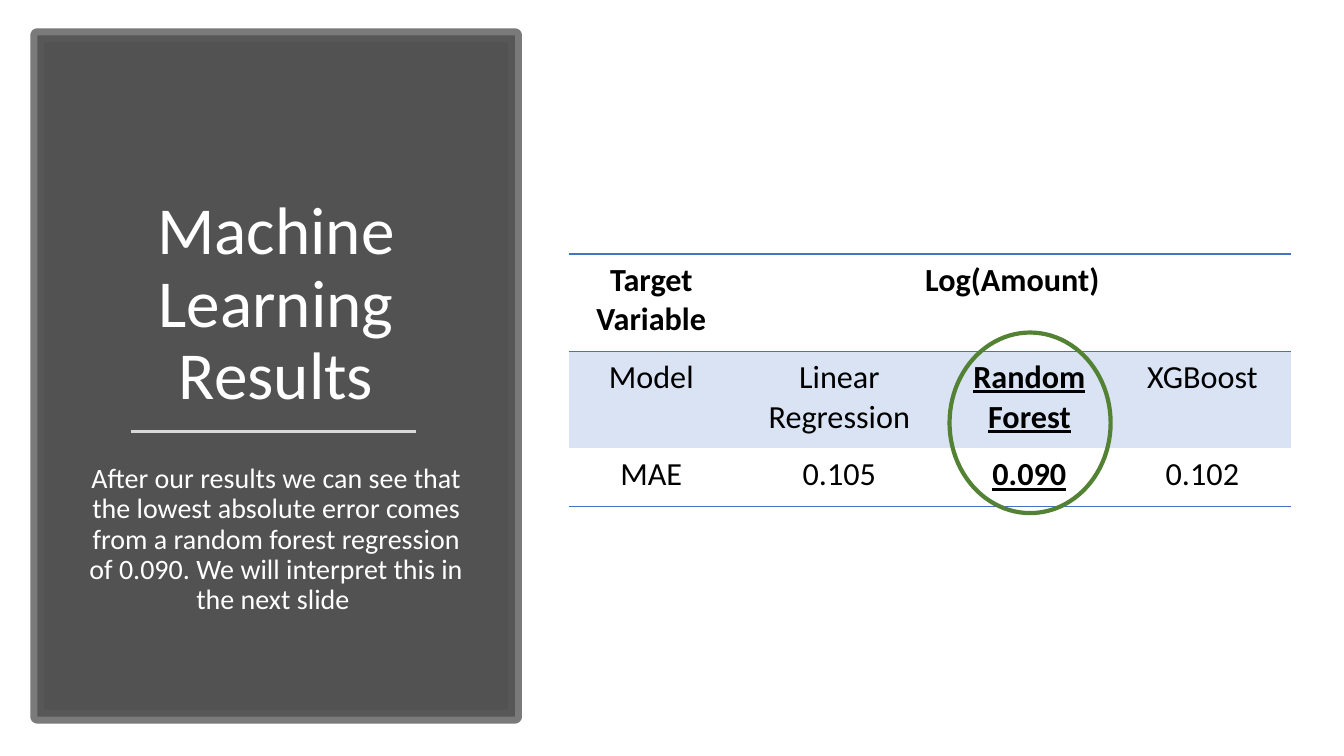
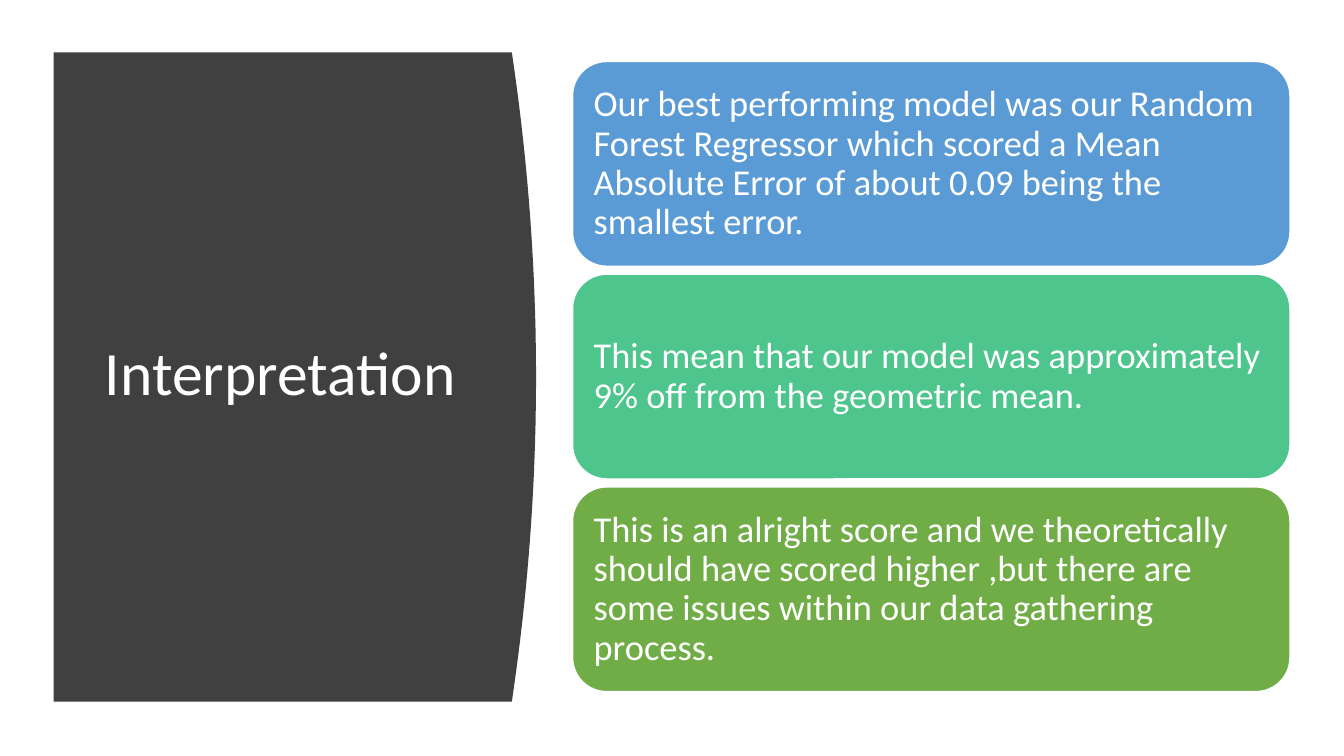
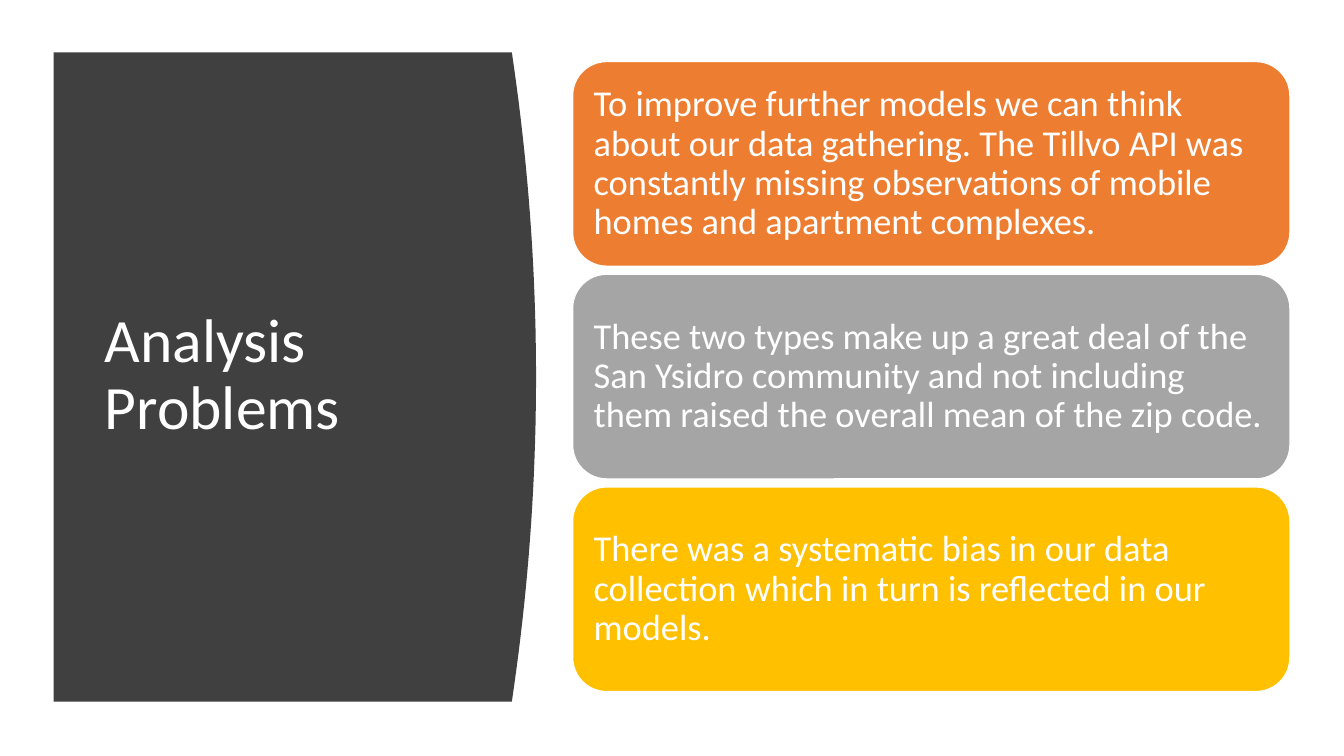
import pptx
import pptx.util
import pptx.dml.color
import pptx.enum.shapes
import pptx.enum.text
import pptx.oxml
import pptx.oxml.ns
import lxml.etree

Cm = pptx.util.Cm
Pt = pptx.util.Pt
Align = pptx.enum.text.PP_ALIGN
Anchor = pptx.enum.text.MSO_ANCHOR
Shape = pptx.enum.shapes.MSO_SHAPE
qn = pptx.oxml.ns.qn

FONT = "Calibri"
WHITE, BLACK, DARK = "FFFFFF", "000000", "404040"
BLUE, PALE, GREEN = "4472C4", "DAE3F3", "548235"


def paint(fill, tone):
    """Give a fill, a line's fill or a font's fill a solid colour."""
    fill.solid()
    fill.fore_color.rgb = pptx.dml.color.RGBColor.from_string(tone)


def write(frame, text, size=20, tone=WHITE, align=Align.LEFT, anchor=Anchor.TOP,
          space=0.9, bold=False, under=False):
    """Set the text of a frame and its format."""
    frame.text = text
    frame.word_wrap = True
    frame.auto_size = pptx.enum.text.MSO_AUTO_SIZE.NONE
    frame.vertical_anchor = anchor
    para = frame.paragraphs[0]
    para.alignment = align
    para.line_spacing = space
    font = para.runs[0].font
    font.name, font.size = FONT, Pt(size)
    font.bold, font.underline = bold, under
    paint(font.fill, tone)


deck = pptx.Presentation()
deck.slide_width, deck.slide_height = Cm(33.87), Cm(19.05)
plain = deck.slide_layouts[5]

# Results: side panel
slide = deck.slides.add_slide(plain)
shapes = slide.shapes
panel = shapes.add_shape(Shape.RECTANGLE, Cm(0.94), Cm(0.89), Cm(12.04), Cm(17.17))
panel.shadow.inherit = False
paint(panel.fill, DARK)
paint(panel.line.fill, "595959")
panel.line.width = Pt(10)
for clr, alpha in zip(panel.element.iter(qn("a:srgbClr")), ("90000", "80000")):
    lxml.etree.SubElement(clr, qn("a:alpha")).set("val", alpha)

# Results: title, rule and remark
title = shapes.title
title.left, title.top, title.width, title.height = Cm(1.88), Cm(2.54), Cm(10.16), Cm(8.03)
write(title.text_frame, "Machine Learning Results", size=48,
      align=Align.CENTER, anchor=Anchor.BOTTOM)
shapes.element.append(title.element)

note = shapes.add_textbox(Cm(1.88), Cm(11.58), Cm(10.16), Cm(4.24))
write(note.text_frame, "After our results we can see that the lowest absolute error "
      "comes from a random forest regression of 0.090. We will interpret this in "
      "the next slide ", align=Align.CENTER)

rule = shapes.add_connector(pptx.enum.shapes.MSO_CONNECTOR.STRAIGHT,
                            Cm(3.3), Cm(10.87), Cm(10.49), Cm(10.87))
paint(rule.line.fill, "D9D9D9")
rule.line.width = Pt(1.75)
lxml.etree.SubElement(rule.element.spPr, qn("a:effectLst"))

# Results: table, with ruled lines above rows 0 and 1 and below row 2
rows = [
    ["Target Variable", "Log(Amount)", "", ""],
    ["Model", "Linear Regression", "Random Forest", "XGBoost"],
    ["MAE", "0.105", "0.090", "0.102"],
]
wides = [4.17, 5.31, 4.27, 4.45]
highs = [2.45, 2.45, 1.46]
ruled = {0, 1, 3}
best = 2

table = shapes.add_table(3, 4, Cm(14.33), Cm(6.4), Cm(sum(wides)), Cm(sum(highs))).table
table.first_row = table.horz_banding = False
for col, wide in zip(table.columns, wides):
    col.width = Cm(wide)
for row, high in zip(table.rows, highs):
    row.height = Cm(high)
table.cell(0, 1).merge(table.cell(0, 3))

for r, row in enumerate(rows):
    for c, text in enumerate(row):
        cell = table.cell(r, c)
        cell.margin_left = cell.margin_right = Cm(0.33)
        cell.margin_top = cell.margin_bottom = Cm(0.17)
        props = cell._tc.get_or_add_tcPr()
        for side, shown in (("L", False), ("R", False),
                            ("T", r in ruled), ("B", r + 1 in ruled)):
            edge = lxml.etree.SubElement(props, qn("a:ln" + side), w=str(Pt(1)))
            if shown:
                fill = lxml.etree.SubElement(edge, qn("a:solidFill"))
                lxml.etree.SubElement(fill, qn("a:srgbClr"), val=BLUE)
            else:
                lxml.etree.SubElement(edge, qn("a:noFill"))
        if r == 1:
            paint(cell.fill, PALE)
        else:
            cell.fill.background()
        if text:
            top = r > 0 and c == best
            write(cell.text_frame, text, size=23, tone=BLACK, align=Align.CENTER,
                  space=1.0, bold=r == 0 or top, under=top)

# Results: ring around the best model
ring = shapes.add_shape(Shape.OVAL, Cm(23.93), Cm(8.38), Cm(4.06), Cm(4.55))
ring.shadow.inherit = False
ring.fill.background()
paint(ring.line.fill, GREEN)
ring.line.width = Pt(3)

# Slides with a curved panel and three cards
talks = [
    ("Interpretation", [
        ("5B9BD5", "Our best performing model was our Random Forest Regressor which "
                   "scored a Mean Absolute Error of about 0.09 being the smallest error."),
        ("4DC58D", "This mean that our model was approximately 9% off from the "
                   "geometric mean."),
        ("70AD47", "This is an alright score and we theoretically should have scored "
                   "higher ,but there are some issues within our data gathering process."),
    ]),
    ("Analysis Problems", [
        ("ED7D31", "To improve further models we can think about our data gathering. "
                   "The Tillvo API was constantly missing observations of mobile homes "
                   "and apartment complexes."),
        ("A5A5A5", "These two types make up a great deal of the San Ysidro community and "
                   "not including them raised the overall mean of the zip code."),
        ("FFC000", "There was a systematic bias in our data collection which in turn is "
                   "reflected in our models."),
    ]),
]

# The panel's right edge is a parabola
left, head, right, bulge, tall, steps = 1.35, 1.32, 12.9, 0.61, 16.36, 40
curve = []
for n in range(steps + 1):
    t = 2 * n / steps - 1
    curve.append((Cm(right + bulge * (1 - t * t)), Cm(head + tall * n / steps)))

for name, cards in talks:
    slide = deck.slides.add_slide(plain)
    shapes = slide.shapes

    # Curved panel
    pen = shapes.build_freeform(Cm(left), Cm(head))
    pen.add_line_segments(curve + [(Cm(left), Cm(head + tall))], close=True)
    panel = pen.convert_to_shape()
    panel.shadow.inherit = False
    paint(panel.fill, DARK)
    panel.line.fill.background()

    # Title
    title = shapes.title
    title.left, title.top, title.width, title.height = Cm(2.39), Cm(2.82), Cm(9.5), Cm(13.31)
    write(title.text_frame, name, size=44, anchor=Anchor.MIDDLE)
    shapes.element.append(title.element)

    # Cards
    for n, (tone, text) in enumerate(cards):
        card = shapes.add_shape(Shape.ROUNDED_RECTANGLE, Cm(14.43), Cm(1.55 + 5.36 * n),
                                Cm(18.08), Cm(5.16))
        card.shadow.inherit = False
        paint(card.fill, tone)
        paint(card.line.fill, WHITE)
        card.line.width = Pt(1)
        frame = card.text_frame
        frame.margin_left = frame.margin_right = Cm(0.28)
        frame.margin_top = frame.margin_bottom = Cm(0.28)
        write(frame, text, size=26, anchor=Anchor.MIDDLE)

deck.save("out.pptx")
